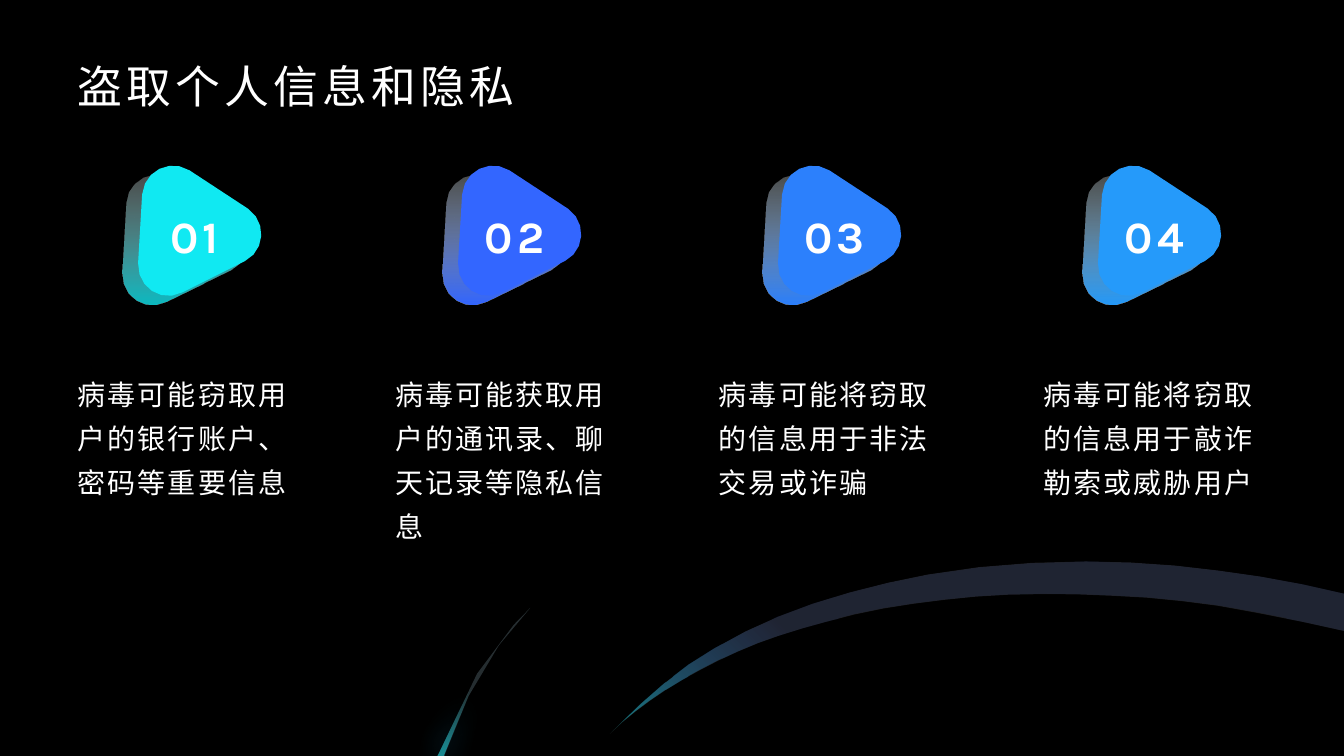
import pptx
import pptx.dml.color
import pptx.enum.text
import pptx.oxml
import pptx.oxml.ns
import pptx.util

Inches = pptx.util.Inches
ALIGN = pptx.enum.text.PP_ALIGN
ANCHOR = pptx.enum.text.MSO_ANCHOR
NS = pptx.oxml.ns.nsdecls("a")

WHITE = "FFFFFF"
CYAN = "10E9F2"
BLUE = "3366FF"
CARDS = [
    (CYAN, 80, 0.67, "病毒可能窃取用户的银行账户、密码等重要信息"),
    (BLUE, 100, 3.82, "病毒可能获取用户的通讯录、聊天记录等隐私信息"),
    ("2C80FC", 100, 7.03, "病毒可能将窃取的信息用于非法交易或诈骗"),
    ("259AFA", 100, 10.25, "病毒可能将窃取的信息用于敲诈勒索或威胁用户"),
]

# Outlines: a start point, then lines (2 numbers) and cubic curves (6 numbers).
BADGE = [
    (0.05, 0.36), (0.01, 1.04),
    (0, 1.28, 0.24, 1.44, 0.45, 1.33), (1.07, 1.02),
    (1.27, 0.92, 1.29, 0.63, 1.1, 0.5), (0.52, 0.12),
    (0.33, 0, 0.07, 0.12, 0.05, 0.36),
]
SWEEP = [
    (0, 1.71), (0.31, 1.41),
    (0.54, 1.2, 0.77, 1.01, 1.04, 0.86),
    (1.34, 0.68, 1.66, 0.54, 2.01, 0.42),
    (2.37, 0.3, 2.77, 0.2, 3.15, 0.13),
    (3.65, 0.04, 4.19, 0, 4.72, 0),
    (5.16, 0, 5.6, 0.03, 6.03, 0.09),
    (6.45, 0.14, 6.87, 0.22, 7.28, 0.32), (7.28, 0.69),
    (6.9, 0.6, 6.38, 0.5, 6.03, 0.44),
    (5.67, 0.39, 5.32, 0.35, 4.97, 0.34),
    (4.62, 0.32, 4.28, 0.32, 3.95, 0.33),
    (3.63, 0.34, 3.31, 0.38, 3.01, 0.42),
    (2.71, 0.46, 2.42, 0.52, 2.14, 0.6),
    (1.91, 0.66, 1.68, 0.73, 1.47, 0.81),
    (1.27, 0.89, 1.07, 0.98, 0.89, 1.08),
    (0.72, 1.17, 0.55, 1.27, 0.4, 1.38),
    (0.26, 1.48, 0.12, 1.59, 0, 1.71),
]
BLADE = [
    (0.92, 0), (0.62, 0.29, 0.26, 0.85, 0.07, 1.46), (0.07, 1.47),
    (0, 1.47), (0.02, 1.43), (0.33, 0.52, 0.92, 0, 0.92, 0),
]


def color(code):
    return pptx.dml.color.RGBColor.from_string(code)


def apply(target, values):
    for name, value in values.items():
        setattr(target, name, value)


def trace(path, steps):
    """Turn an outline of lines and cubic curves into a list of points."""
    points = [path[0]]
    for part in path[1:]:
        if len(part) == 2:
            points.append(part)
            continue
        start = points[-1]
        for step in range(1, steps + 1):
            t = step / steps
            u = 1 - t
            points.append(tuple(
                u**3 * start[k] + 3 * u * u * t * part[k]
                + 3 * u * t * t * part[k + 2] + t**3 * part[k + 4]
                for k in (0, 1)))
    return points


def draw(slide, path, left, top, fill, steps=3):
    """Draw an outline at a place; fill is a hex string or (stops, angle)."""
    points = [(Inches(left + x), Inches(top + y))
              for x, y in trace(path, steps)]
    pen = slide.shapes.build_freeform(*points[0])
    pen.add_line_segments(points[1:], close=True)
    shape = pen.convert_to_shape()
    shape.line.fill.background()
    shape.shadow.inherit = False
    if isinstance(fill, str):
        shape.fill.solid()
        shape.fill.fore_color.rgb = color(fill)
    else:
        blend(shape, *fill)
    return shape


def blend(shape, stops, angle):
    """Give a gradient of (position, colour, opacity) stops, in percent."""
    marks = "".join(
        f'<a:gs pos="{spot * 1000}"><a:srgbClr val="{code}">'
        f'<a:alpha val="{alpha * 1000}"/></a:srgbClr></a:gs>'
        for spot, code, alpha in stops)
    shape.fill.background()
    props = shape._element.spPr
    blank = props.find(pptx.oxml.ns.qn("a:noFill"))
    props.replace(blank, pptx.oxml.parse_xml(
        f'<a:gradFill {NS} rotWithShape="1"><a:gsLst>{marks}</a:gsLst>'
        f'<a:lin ang="{angle * 60000}" scaled="0"/></a:gradFill>'))


def glow(shape, code, blur):
    effects = shape._element.spPr.find(pptx.oxml.ns.qn("a:effectLst"))
    effects.append(pptx.oxml.parse_xml(
        f'<a:outerShdw {NS} blurRad="{pptx.util.Pt(blur)}" dist="0" dir="0" '
        f'algn="ctr" rotWithShape="0"><a:srgbClr val="{code}"/>'
        '</a:outerShdw>'))


def write(shape, text, size, face, space, pads, anchor, layout, bold=False):
    """Fill a text shape; pads are left, top, right, bottom in inches."""
    frame = shape.text_frame
    sides = ("margin_left", "margin_top", "margin_right", "margin_bottom")
    apply(frame, dict(zip(sides, map(Inches, pads))))
    apply(frame, {"word_wrap": True, "vertical_anchor": anchor,
                  "auto_size": pptx.enum.text.MSO_AUTO_SIZE.NONE})
    line = frame.paragraphs[0]
    apply(line, layout)
    run = line.add_run()
    run.text = text
    apply(run.font, {"size": pptx.util.Pt(size), "name": face, "bold": bold})
    run.font.color.rgb = color(WHITE)
    run.font._element.set("spc", str(int(space * 100)))


def add_box(slide, *box):
    return slide.shapes.add_textbox(*map(Inches, box))


def add_title(slide, left, top, width, height):
    title = slide.shapes.title
    apply(title, {"left": Inches(left), "top": Inches(top),
                  "width": Inches(width), "height": Inches(height)})
    write(title, "盗取个人信息和隐私", 32, "Roboto", 3, (0.1, 0, 0.1, 0),
          ANCHOR.BOTTOM, {"alignment": ALIGN.LEFT})


def add_arcs(slide):
    sweep = (SWEEP, 6.05, 5.57)
    blade = (BLADE, 4.34, 6.03)
    draw(slide, *sweep, "1E1D1B")
    draw(slide, *blade, "252D30")
    draw(slide, *sweep, ([(0, CYAN, 50), (31, BLUE, 10)], 315))
    edge = draw(slide, *blade, ([(55, CYAN, 0), (100, CYAN, 50)], 90))
    glow(edge, "1EB5F7", 20)


def add_badge(slide, left, top, label, code, alpha):
    shade = ([(0, "F3FEFE", 30), (100, code, alpha)], 90)
    draw(slide, BADGE, left, top + 0.09, shade, 6)
    draw(slide, BADGE, left + 0.15, top, code, 6)
    write(add_box(slide, left + 0.32, top + 0.42, 0.8, 0.7), label, 32,
          "Karla", 3, (0, 0, 0, 0), ANCHOR.MIDDLE,
          {"alignment": ALIGN.CENTER}, True)


def add_note(slide, left, top, text):
    write(add_box(slide, left, top, 2.41, 3.11), text, 20, "Karla", 1.5,
          (0.1, 0.05, 0, 0.05), ANCHOR.TOP, {"line_spacing": 1.3})


def main():
    deck = pptx.Presentation()
    apply(deck, {"slide_width": Inches(13.33), "slide_height": Inches(7.5)})
    slide = deck.slides.add_slide(deck.slide_layouts[5])
    slide.background.fill.solid()
    slide.background.fill.fore_color.rgb = color("000000")
    add_arcs(slide)
    add_title(slide, 0.67, 0.5, 12, 0.62)
    pitch = 9.52 / 3
    for index, (code, alpha, left, text) in enumerate(CARDS):
        add_badge(slide, 1.21 + index * pitch, 1.57, f"{index + 1:02}",
                  code, alpha)
        add_note(slide, left, 3.6, text)
    deck.save("out.pptx")


if __name__ == "__main__":
    main()
